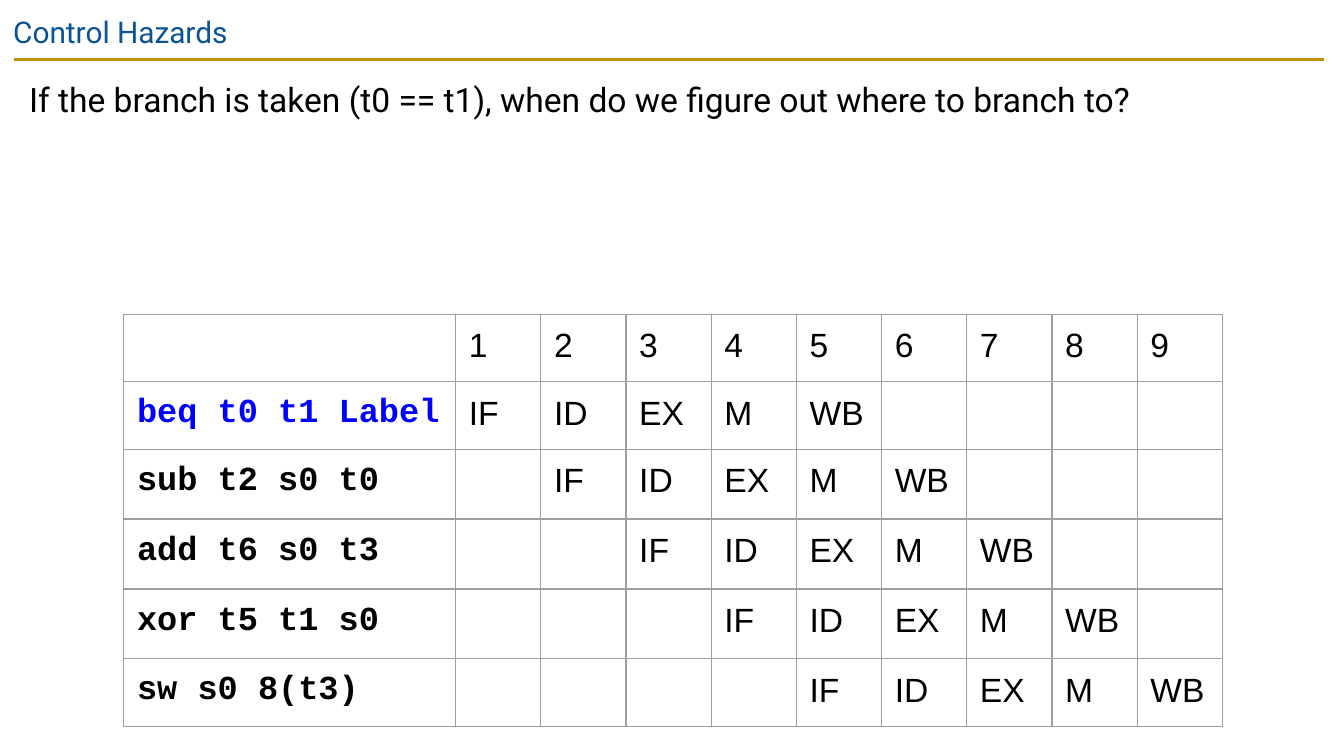
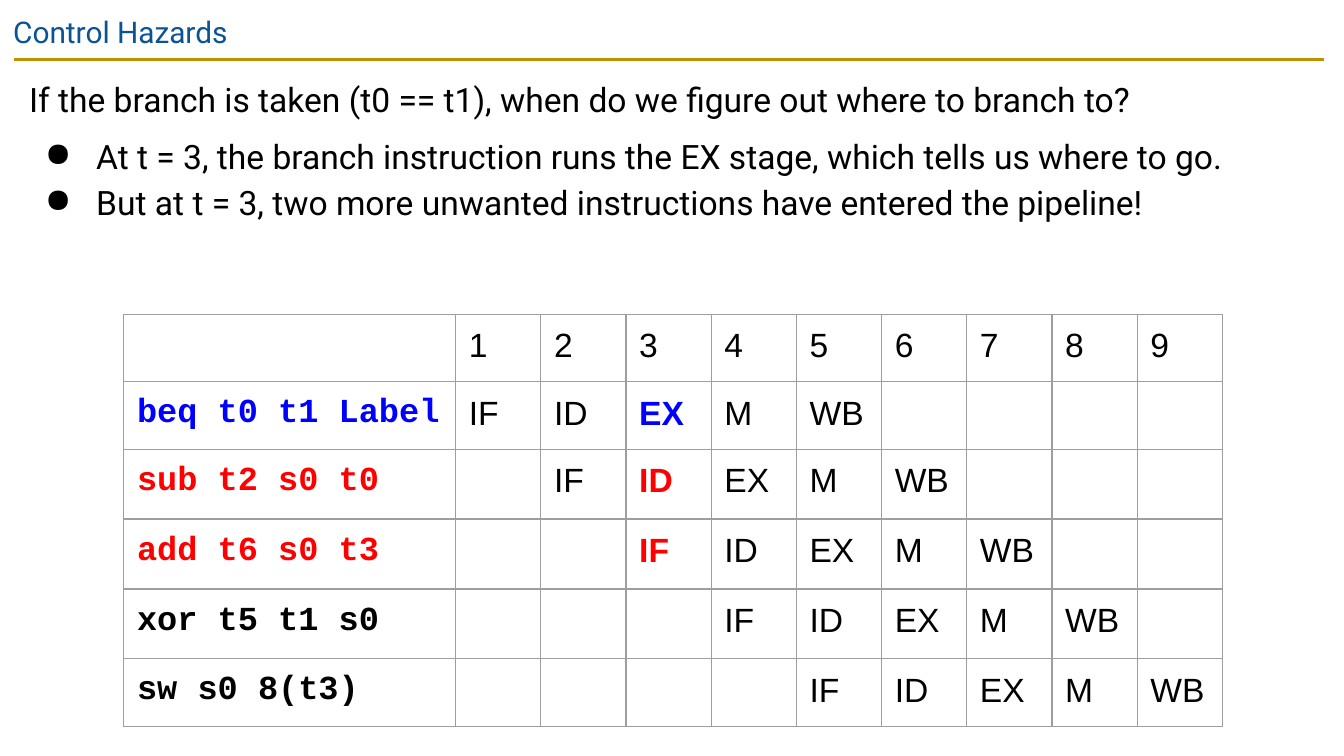
"""Build two slides on control hazards in a pipelined processor."""
from dataclasses import dataclass

from lxml import etree
from pptx import Presentation
from pptx import util as u
from pptx.dml.color import RGBColor
from pptx.enum import shapes, text
from pptx.oxml import ns

BLACK, BLUE, RED = "000000", "0000FF", "FF0000"
TITLE_BLUE, GOLD, GRID = "0B5394", "BF9000", "9E9E9E"
INSET = u.Cm(0.25)
STAGES = ["IF", "ID", "EX", "M", "WB"]
CYCLES = 9
ROW_HEIGHTS = [1.26, 1.24, 1.32, 1.32, 1.32, 1.24]
QUESTION = "If the branch is taken (t0 == t1), when do we figure out where to branch to?"


@dataclass(frozen=True)
class Instruction:
    code: str
    color: str = BLACK


@dataclass(frozen=True)
class Lesson:
    bullets: list[str]
    unwanted_color: str = BLACK
    marked_cycle: int = 0

    def program(self) -> list[Instruction]:
        return [
            Instruction("beq t0 t1 Label", BLUE),
            Instruction("sub t2 s0 t0", self.unwanted_color),
            Instruction("add t6 s0 t3", self.unwanted_color),
            Instruction("xor t5 t1 s0"),
            Instruction("sw s0 8(t3)"),
        ]


LESSONS = [
    Lesson([]),
    Lesson(
        [
            "At t = 3, the branch instruction runs the EX stage, which tells us where to go.",
            "But at t = 3, two more unwanted instructions have entered the pipeline!",
        ],
        RED,
        marked_cycle=3,
    ),
]


def rgb(color: str) -> RGBColor:
    return RGBColor.from_string(color)


def style(para, font: str, size: float, color: str, bold: bool = False) -> None:
    para.font.name = font
    para.font.size = u.Pt(size)
    para.font.bold = bold
    para.font.color.rgb = rgb(color)


def set_insets(frame) -> None:
    frame.margin_left = frame.margin_right = INSET
    frame.margin_top = frame.margin_bottom = INSET
    frame.vertical_anchor = text.MSO_ANCHOR.TOP
    frame.auto_size = text.MSO_AUTO_SIZE.NONE
    frame.word_wrap = True


def add_child(parent, tag: str, **attributes: str):
    return etree.SubElement(parent, ns.qn(tag), **attributes)


def add_bullet(para) -> None:
    properties = para._p.get_or_add_pPr()
    properties.set("marL", str(u.Cm(1.27)))
    properties.set("indent", str(u.Cm(-0.97)))
    add_child(add_child(properties, "a:buClr"), "a:srgbClr", val=BLACK)
    add_child(properties, "a:buChar", char="●")


def draw_heading(page) -> None:
    rule = page.shapes.add_connector(
        shapes.MSO_CONNECTOR.STRAIGHT, u.Cm(0.26), u.Cm(1.12), u.Cm(25.03), u.Cm(1.12)
    )
    rule.line.color.rgb = rgb(GOLD)
    rule.line.width = u.Pt(1.5)
    add_child(rule._element.spPr, "a:effectLst")

    title = page.shapes.title
    title.left, title.top, title.width, title.height = 0, 0, u.Cm(25.4), u.Cm(1.09)
    title.text_frame.text = "Control Hazards"
    set_insets(title.text_frame)
    para = title.text_frame.paragraphs[0]
    para.alignment = text.PP_ALIGN.LEFT
    style(para, "Roboto", 16, TITLE_BLUE)


def draw_body(page, bullets: list[str]) -> None:
    box = page.shapes.add_textbox(u.Cm(0.3), u.Cm(1.12), u.Cm(24.74), u.Cm(4.34))
    frame = box.text_frame
    set_insets(frame)
    frame.text = "\n".join([QUESTION, *bullets])
    for index, para in enumerate(frame.paragraphs):
        para.line_spacing = 1.15
        para.space_before = u.Pt(6 if index == 1 else 0)
        if index:
            add_bullet(para)
        style(para, "Roboto", 18, BLACK)


def format_cell(cell) -> None:
    cell.margin_left = cell.margin_right = INSET
    cell.margin_top = cell.margin_bottom = INSET
    properties = cell._tc.get_or_add_tcPr()
    for side in ("a:lnL", "a:lnR", "a:lnT", "a:lnB"):
        border = add_child(properties, side, w=str(u.Pt(0.75)))
        add_child(add_child(border, "a:solidFill"), "a:srgbClr", val=GRID)
    cell.fill.background()


def write_cell(cell, words: str, font: str = "Arial", color: str = BLACK, bold: bool = False) -> None:
    cell.text = words
    style(cell.text_frame.paragraphs[0], font, 18, color, bold)


def draw_pipeline(page, lesson: Lesson) -> None:
    code_width, cycle_width = u.Cm(6.27), u.Cm(1.61)
    table = page.shapes.add_table(
        len(ROW_HEIGHTS), CYCLES + 1, u.Cm(2.34), u.Cm(5.94),
        code_width + CYCLES * cycle_width, u.Cm(sum(ROW_HEIGHTS)),
    ).table
    table.first_row = table.horz_banding = False
    for index, column in enumerate(table.columns):
        column.width = cycle_width if index else code_width
    for row, height in zip(table.rows, ROW_HEIGHTS):
        row.height = u.Cm(height)
    for cell in table.iter_cells():
        format_cell(cell)

    for cycle in range(1, CYCLES + 1):
        write_cell(table.cell(0, cycle), str(cycle))
    for row, instruction in enumerate(lesson.program(), start=1):
        write_cell(table.cell(row, 0), instruction.code, "Courier New", instruction.color, True)
        for cycle, stage in enumerate(STAGES, start=row):
            marked = cycle == lesson.marked_cycle and instruction.color != BLACK
            color = instruction.color if marked else BLACK
            write_cell(table.cell(row, cycle), stage, color=color, bold=marked)


def main() -> None:
    deck = Presentation()
    deck.slide_width, deck.slide_height = u.Cm(25.4), u.Cm(14.29)
    for lesson in LESSONS:
        page = deck.slides.add_slide(deck.slide_layouts[5])
        draw_heading(page)
        draw_body(page, lesson.bullets)
        draw_pipeline(page, lesson)
    deck.save("out.pptx")


if __name__ == "__main__":
    main()
